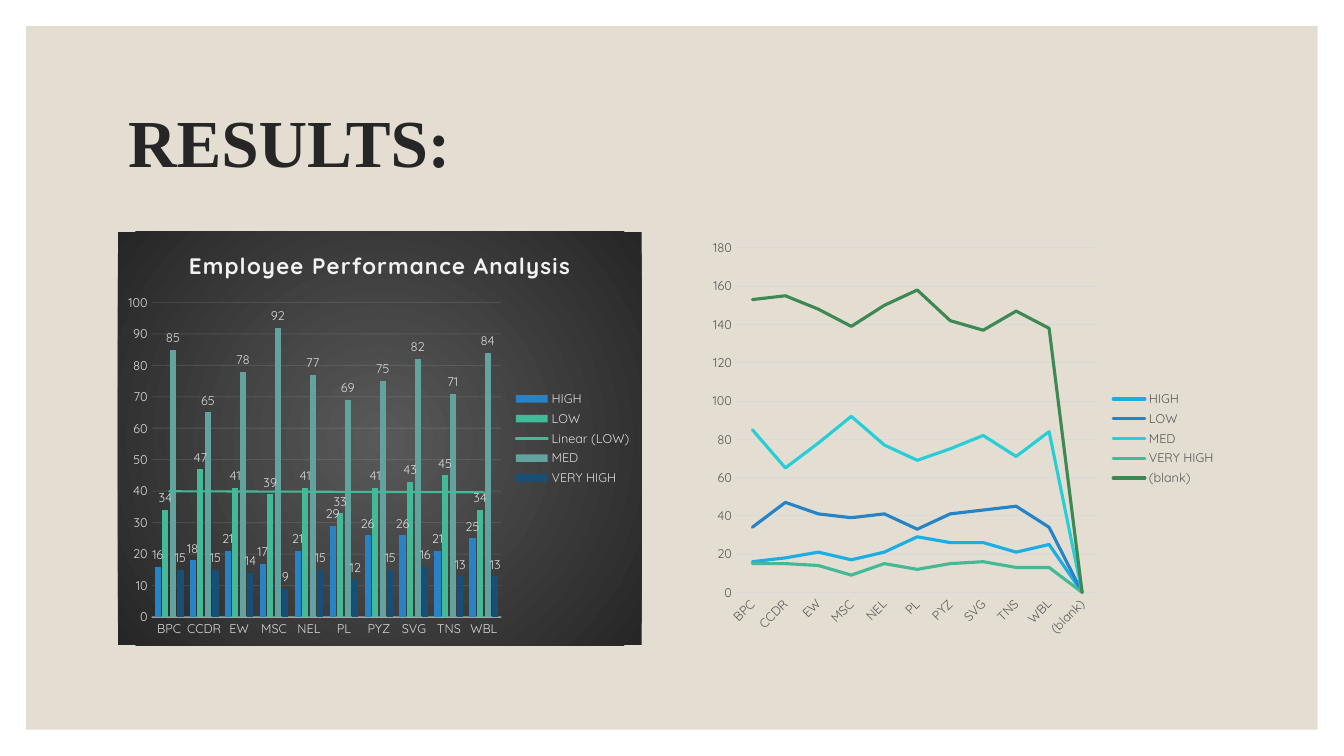
from lxml.etree import SubElement
from pptx import Presentation
from pptx.chart.data import CategoryChartData
from pptx.dml.color import RGBColor
from pptx.enum.chart import (XL_CHART_TYPE as Kind, XL_LABEL_POSITION as Spot,
                             XL_LEGEND_POSITION as Side, XL_TICK_MARK as Tick)
from pptx.enum.shapes import MSO_SHAPE as Form
from pptx.enum.text import MSO_ANCHOR as Anchor, PP_ALIGN as Align
from pptx.oxml import parse_xml
from pptx.oxml.ns import nsdecls, qn
from pptx.util import Inches, Pt

# Content
HEAD = "RESULTS:"
TITLE = "Employee Performance Analysis"
UNITS = ["BPC", "CCDR", "EW", "MSC", "NEL", "PL", "PYZ", "SVG", "TNS", "WBL"]
LEVELS = {
    "HIGH": [16, 18, 21, 17, 21, 29, 26, 26, 21, 25],
    "LOW": [34, 47, 41, 39, 41, 33, 41, 43, 45, 34],
    "MED": [85, 65, 78, 92, 77, 69, 75, 82, 71, 84],
    "VERY HIGH": [15, 15, 14, 9, 15, 12, 15, 16, 13, 13],
}
BLANK = "(blank)"
TOTALS = [153, 155, 148, 139, 150, 158, 142, 137, 147, 138]

# Format
HEX = {"sand": "E3DED1", "ink": "262626", "pale": "D9D9D9", "white": "F2F2F2",
       "gray": "595959", "trend": "42BA97"}
BARS = ["2683C6", "42BA97", "62A39F", "174F77"]
LINES = ["1CADE4", "2683C6", "27CED7", "42BA97", "3E8853"]
FACE = "Quicksand"

# Grid: two equal columns inside the side margin
WIDE, HIGH = 13.33, 7.5
EDGE, LEFT, GAP = 0.26, 1.17, 0.6
SPAN = WIDE - 2 * LEFT
COL = (SPAN - GAP) / 2
TOP, TALL = 2.3, 4.1


def rgb(code):
    return RGBColor.from_string(code)


def style(font, color, **vals):
    for key, val in vals.items():
        setattr(font, key, val)
    font.color.rgb = rgb(color)


def stroke(line, color, width, alpha=100):
    line.width = Pt(width)
    line.color.rgb = rgb(color)
    if alpha < 100:
        tone = line.fill._xPr.find(".//" + qn("a:srgbClr"))
        SubElement(tone, qn("a:alpha"), val=str(alpha * 1000))


def add_chart(slide, kind, col, cats, rows, text, rule, top, step):
    data = CategoryChartData()
    data.categories = cats
    for name, vals in rows.items():
        data.add_series(name, vals)
    x = LEFT + col * (COL + GAP)
    box = [Inches(n) for n in (x, TOP, COL, TALL)]
    chart = slide.shapes.add_chart(kind, *box, data).chart
    style(chart.font, text, name=FACE, size=Pt(10))
    chart.has_title = False
    chart.has_legend = True
    key = chart.legend
    key.position, key.include_in_layout = Side.RIGHT, False
    cat, val = chart.category_axis, chart.value_axis
    for part in (key.font, cat.tick_labels.font, val.tick_labels.font):
        style(part, text, name=FACE, size=Pt(9))
    for axis in (cat, val):
        axis.major_tick_mark = axis.minor_tick_mark = Tick.NONE
    scale = {"minimum_scale": 0, "maximum_scale": top, "major_unit": step,
             "has_major_gridlines": True}
    for name, num in scale.items():
        setattr(val, name, num)
    val.format.line.fill.background()
    stroke(cat.format.line, *rule["axis"])
    stroke(val.major_gridlines.format.line, *rule["grid"])
    return chart


# Slide, backdrop and heading
deck = Presentation()
deck.slide_width, deck.slide_height = Inches(WIDE), Inches(HIGH)
slide = deck.slides.add_slide(deck.slide_layouts[5])
head = slide.shapes.title
back = slide.shapes.add_shape(Form.RECTANGLE, Inches(EDGE), Inches(EDGE),
                              Inches(WIDE - 2 * EDGE), Inches(HIGH - 2 * EDGE))
back.shadow.inherit = False
back.fill.solid()
back.fill.fore_color.rgb = rgb(HEX["sand"])
back.line.fill.background()
head._element.addprevious(back._element)

spot = {"left": LEFT, "top": 0.7, "width": SPAN, "height": 1.5}
for name, num in spot.items():
    setattr(head, name, Inches(num))
head.text_frame.text = HEAD
head.text_frame.vertical_anchor = Anchor.MIDDLE
para = head.text_frame.paragraphs[0]
para.alignment, para.line_spacing = Align.LEFT, 0.9
style(para.runs[0].font, HEX["ink"], name="Times New Roman", size=Pt(48), bold=True)

# Column chart
bars = add_chart(slide, Kind.COLUMN_CLUSTERED, 0, UNITS, LEVELS, HEX["pale"],
                 {"axis": (HEX["white"], 1, 54), "grid": (HEX["white"], 0.75, 10)},
                 100, 10)
bars.has_title = True
bars.chart_title.include_in_layout = False
bars.chart_title.text_frame.text = TITLE
run = bars.chart_title.text_frame.paragraphs[0].runs[0]
style(run.font, HEX["white"], name=FACE, size=Pt(16), bold=True)
run.font._element.set("spc", "100")
plot = bars.plots[0]
plot.gap_width, plot.overlap, plot.vary_by_categories = 100, -24, False
for row, color in zip(plot.series, BARS):
    row.format.fill.solid()
    row.format.fill.fore_color.rgb = rgb(color)
    tags = row.data_labels
    tags.show_value, tags.position = True, Spot.OUTSIDE_END
    style(tags.font, HEX["pale"], name=FACE, size=Pt(9))

# Trend line of LOW
low = plot.series[1]._element
low.find(qn("c:cat")).addprevious(parse_xml(
    f'<c:trendline {nsdecls("c", "a")}><c:spPr><a:ln w="{Pt(1.5)}" cap="rnd">'
    f'<a:solidFill><a:srgbClr val="{HEX["trend"]}"/></a:solidFill></a:ln></c:spPr>'
    '<c:trendlineType val="linear"/><c:dispRSqr val="0"/><c:dispEq val="0"/>'
    '</c:trendline>'))

# Radial chart background
stops = "".join(f'<a:gs pos="{pos}"><a:srgbClr val="{HEX[tone]}"/></a:gs>'
                for pos, tone in ((0, "gray"), (100000, "ink")))
bars._chartSpace.find(qn("c:chart")).addnext(parse_xml(
    f'<c:spPr {nsdecls("c", "a")}><a:gradFill><a:gsLst>{stops}</a:gsLst>'
    '<a:path path="circle"><a:fillToRect l="50000" t="50000" r="50000" b="50000"/>'
    '</a:path></a:gradFill><a:ln><a:noFill/></a:ln></c:spPr>'))

# Line chart: the same levels, the totals and an empty last unit
rows = {name: vals + [0] for name, vals in {**LEVELS, BLANK: TOTALS}.items()}
thin = (HEX["pale"], 0.75)
lines = add_chart(slide, Kind.LINE, 1, UNITS + [BLANK], rows, HEX["gray"],
                  {"axis": thin, "grid": thin}, 180, 20)
turn = lines.category_axis._element.find(qn("c:txPr")).find(qn("a:bodyPr"))
turn.set("rot", str(-45 * 60000))
for row, color in zip(lines.plots[0].series, LINES):
    row.smooth = False
    stroke(row.format.line, color, 2.25)
    row.format.line.fill._xPr.set("cap", "rnd")

deck.save("out.pptx")
